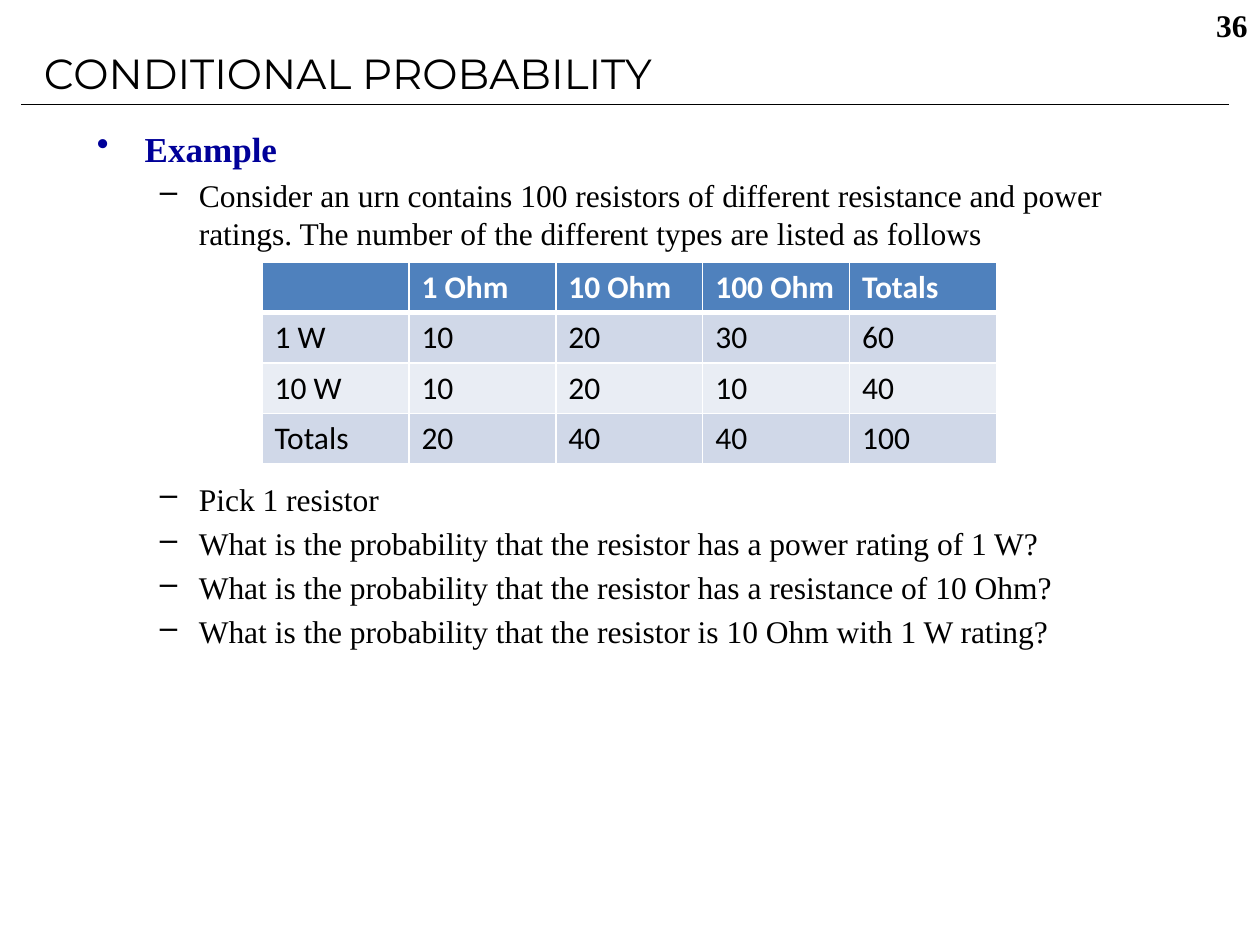
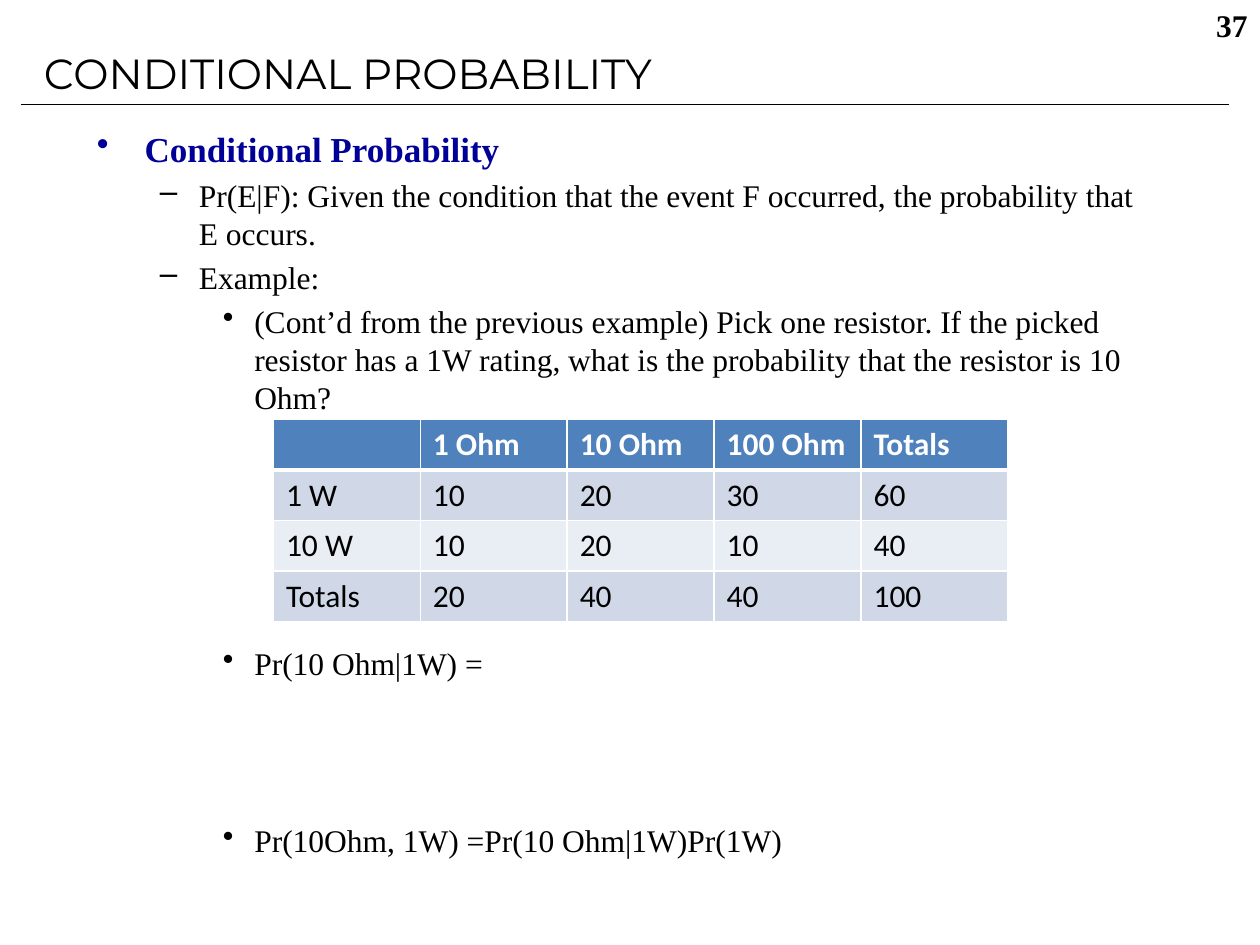
"""Build two lecture slides on conditional probability."""
from dataclasses import dataclass

from lxml import etree
from pptx import Presentation
from pptx.dml.color import RGBColor
from pptx.enum.shapes import MSO_CONNECTOR
from pptx.enum.text import MSO_ANCHOR, PP_ALIGN
from pptx.oxml.ns import qn
from pptx.slide import Slide
from pptx.text.text import Font, TextFrame
from pptx.util import Inches, Pt

STRAIGHT = MSO_CONNECTOR.STRAIGHT
TOP = MSO_ANCHOR.TOP
LEFT, RIGHT = PP_ALIGN.LEFT, PP_ALIGN.RIGHT

COLORS = {
    "ink": "000000",
    "heading": "000099",
    "white": "FFFFFF",
    "header": "4F81BD",
    "odd_row": "D0D8E8",
    "even_row": "E9EDF4",
}
TITLE_FONT, BODY_FONT, TABLE_FONT = "Montserrat", "Times New Roman", "Calibri"
TITLE = "CONDITIONAL PROBABILITY"
LINE_FACTOR = 1.206
SPACE_FACTOR = 0.2
RATINGS = [
    ["", "1 Ohm", "10 Ohm", "100 Ohm", "Totals"],
    ["1 W", "10", "20", "30", "60"],
    ["10 W", "10", "20", "10", "40"],
    ["Totals", "20", "40", "40", "100"],
]
TABLE_WIDTH, ROW_HEIGHT = 5.83, 0.4


@dataclass(frozen=True)
class Level:
    """Look of one outline level."""
    bullet: str
    margin: float
    hanging: float
    size: int
    color: str = "ink"
    bold: bool = False


@dataclass(frozen=True)
class Item:
    """Outline entry with a number of lines kept free above it."""
    text: str
    level: int = 1
    free_lines: int = 0


@dataclass(frozen=True)
class Lesson:
    """Content of one slide."""
    number: int
    items: list[Item]
    table_left: float
    table_top: float


LEVELS = [
    Level("•", 0.38, 0.38, 20, "heading", True),
    Level("–", 0.81, 0.31, 18),
    Level("•", 1.25, 0.25, 18),
]

LESSONS = [
    Lesson(36, [
        Item("Example", 0),
        Item("Consider an urn contains 100 resistors of different resistance and power "
             "ratings. The number of the different types are listed as follows"),
        Item("Pick 1 resistor", free_lines=5),
        Item("What is the probability that the resistor has a power rating of 1 W?"),
        Item("What is the probability that the resistor has a resistance of 10 Ohm?"),
        Item("What is the probability that the resistor is 10 Ohm with 1 W rating?"),
    ], 2.08, 2.08),
    Lesson(37, [
        Item("Conditional Probability", 0),
        Item("Pr(E|F): Given the condition that the event F occurred, the probability "
             "that E occurs."),
        Item("Example:"),
        Item("(Cont’d from the previous example) Pick one resistor. If the picked "
             "resistor has a 1W rating, what is the probability that the resistor is "
             "10 Ohm?", 2),
        Item("Pr(10 Ohm|1W) =", 2, 5),
        Item("Pr(10Ohm, 1W) =Pr(10 Ohm|1W)Pr(1W)", 2, 3),
    ], 2.17, 3.33),
]


def color_of(name: str) -> RGBColor:
    """Return the named colour."""
    return RGBColor.from_string(COLORS[name])


def style(font: Font, name: str, size: int, color: str = "ink", bold: bool = False) -> None:
    """Set typeface, size, colour and weight."""
    font.name, font.size, font.bold = name, Pt(size), bold
    font.color.rgb = color_of(color)


def add_text_frame(page: Slide, left: float, top: float, width: float,
                   height: float) -> TextFrame:
    """Add a wrapping text box anchored at the top."""
    box = page.shapes.add_textbox(Inches(left), Inches(top), Inches(width), Inches(height))
    box.text_frame.word_wrap = True
    box.text_frame.vertical_anchor = TOP
    return box.text_frame


def add_label(page: Slide, text: str, place: tuple[float, float, float, float], name: str,
              size: int, bold: bool = False, align: PP_ALIGN = LEFT) -> None:
    """Add a text box with one line."""
    frame = add_text_frame(page, *place)
    frame.text = text
    paragraph = frame.paragraphs[0]
    paragraph.alignment = align
    if name == BODY_FONT:
        paragraph.line_spacing = Pt(size * LINE_FACTOR)
    style(paragraph.runs[0].font, name, size, bold=bold)


def add_rule(page: Slide) -> None:
    """Draw the line under the title."""
    rule = page.shapes.add_connector(STRAIGHT, Inches(0.17), Inches(0.83),
                                     Inches(9.75), Inches(0.83))
    rule.line.color.rgb = color_of("ink")
    rule.line.width = Pt(0.75)
    etree.SubElement(rule.line._get_or_add_ln().getparent(), qn("a:effectLst"))


def add_outline(page: Slide, items: list[Item]) -> None:
    """Write the bulleted outline."""
    frame = add_text_frame(page, 0.67, 0.96, 8.5, 6.12)
    for index, item in enumerate(items):
        level = LEVELS[item.level]
        paragraph = frame.add_paragraph() if index else frame.paragraphs[0]
        paragraph.text = item.text
        paragraph.level = item.level
        properties = paragraph._p.get_or_add_pPr()
        properties.set("marL", str(Inches(level.margin)))
        properties.set("indent", str(-Inches(level.hanging)))
        etree.SubElement(properties, qn("a:buChar"), char=level.bullet)
        line = level.size * LINE_FACTOR
        gap = level.size * SPACE_FACTOR
        paragraph.line_spacing = Pt(line)
        if index:
            paragraph.space_before = Pt(gap + item.free_lines * (line + gap))
        style(paragraph.runs[0].font, BODY_FONT, level.size, level.color, level.bold)


def add_ratings(page: Slide, left: float, top: float) -> None:
    """Add the table of resistor counts."""
    rows, columns = len(RATINGS), len(RATINGS[0])
    table = page.shapes.add_table(rows, columns, Inches(left), Inches(top),
                                  Inches(TABLE_WIDTH), Inches(ROW_HEIGHT * rows)).table
    for row_index, values in enumerate(RATINGS):
        is_header = row_index == 0
        fill = "header" if is_header else "odd_row" if row_index % 2 else "even_row"
        for column_index, value in enumerate(values):
            cell = table.cell(row_index, column_index)
            cell.text = value
            for span in cell.text_frame.paragraphs[0].runs:
                style(span.font, TABLE_FONT, 18, "white" if is_header else "ink", is_header)
            properties = cell._tc.get_or_add_tcPr()
            for side in ("lnL", "lnR", "lnT", "lnB"):
                thick = (side == "lnB" and is_header) or (side == "lnT" and row_index == 1)
                border = etree.SubElement(properties, qn(f"a:{side}"),
                                          w=str(Pt(3 if thick else 1)))
                solid = etree.SubElement(border, qn("a:solidFill"))
                etree.SubElement(solid, qn("a:srgbClr"), val=COLORS["white"])
            cell.fill.solid()
            cell.fill.fore_color.rgb = color_of(fill)


def main() -> None:
    """Create the deck and save it."""
    deck = Presentation()
    deck.slide_width, deck.slide_height = Inches(10), Inches(7.5)
    for lesson in LESSONS:
        page = deck.slides.add_slide(deck.slide_layouts[6])
        add_rule(page)
        add_label(page, TITLE, (0.25, 0.33, 8.5, 0.83), TITLE_FONT, 24)
        add_outline(page, lesson.items)
        add_label(page, str(lesson.number), (7.92, 0, 2.08, 0.5), BODY_FONT, 18, True, RIGHT)
        add_ratings(page, lesson.table_left, lesson.table_top)
    deck.save("out.pptx")


if __name__ == "__main__":
    main()
